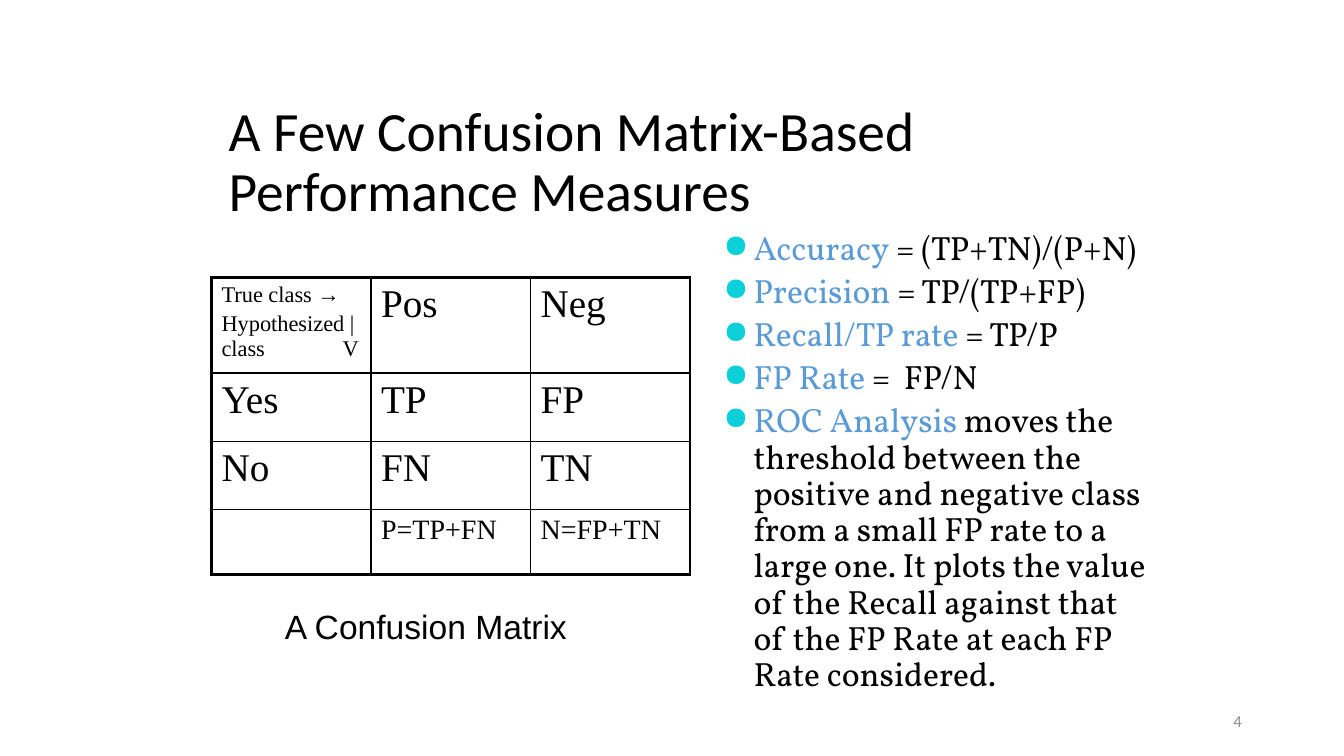
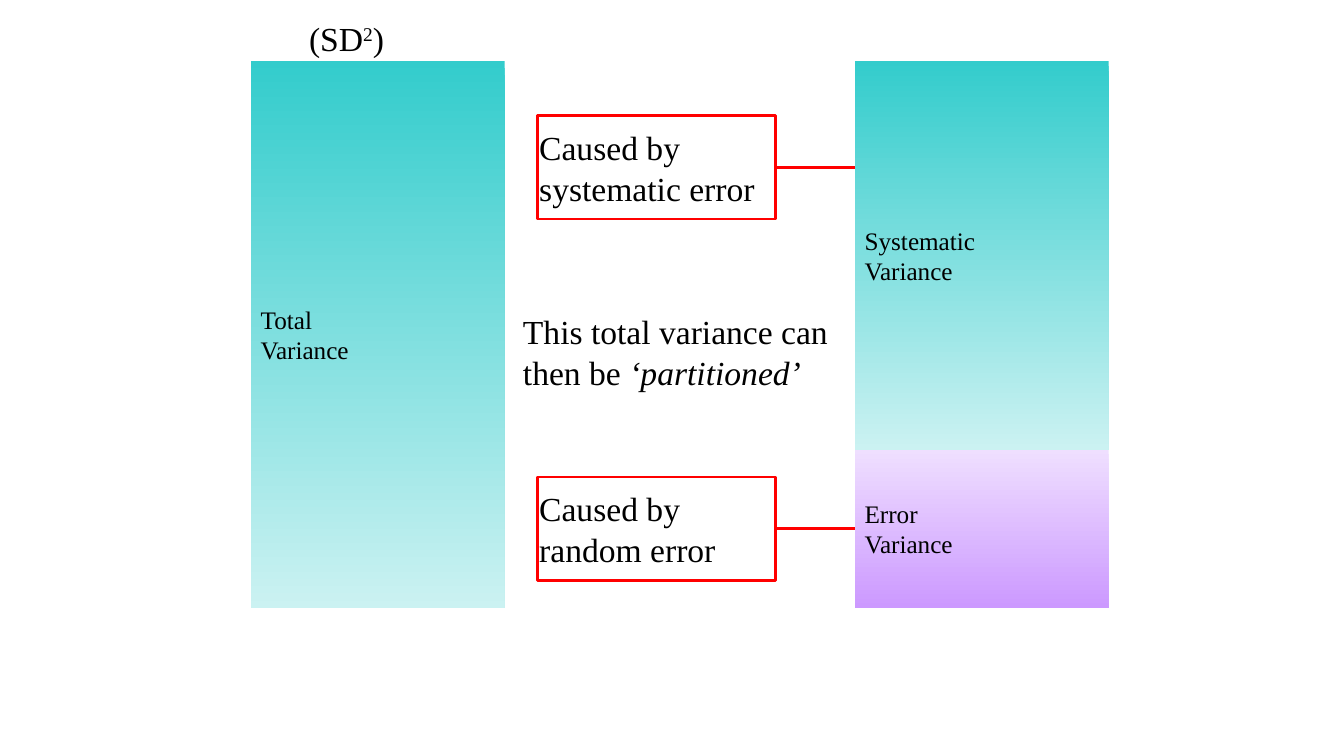
from dataclasses import dataclass
from typing import Optional, Sequence

from lxml.etree import SubElement
from pptx import Presentation
from pptx.dml.color import RGBColor as Rgb
from pptx.enum.shapes import MSO_CONNECTOR as Connector, MSO_SHAPE as Preset
from pptx.enum.text import MSO_ANCHOR as Anchor, PP_ALIGN as Align
from pptx.oxml.ns import qn
from pptx.util import Cm, Pt


# Theme: colours, fonts and type sizes
@dataclass(frozen=True)
class Theme:
    black: str = "000000"
    grey: str = "8C8C8C"
    term: str = "5B9BD5"
    bullet: str = "0BD0D9"
    red: str = "FF0000"
    teal: tuple[str, str] = ("33CCCC", "CBF2F2")
    violet: tuple[str, str] = ("EFDFFF", "CC99FF")
    heading: str = "Calibri"
    serif: str = "Times New Roman"
    list_font: str = "Vollkorn"
    caption_font: str = "Arial"
    title_size: float = 39.6
    cell_size: float = 28
    body_size: float = 24
    total_size: float = 20
    label_size: float = 18
    corner_size: float = 16
    number_size: float = 12
    thin: float = 1
    thick: float = 2.25
    red_line: float = 2


THEME = Theme()


# Building blocks, lengths in centimetres
@dataclass(frozen=True)
class Box:
    left: float
    top: float
    width: float
    height: float

    @property
    def right(self) -> float:
        return self.left + self.width

    @property
    def middle(self) -> float:
        return self.top + self.height / 2

    def lengths(self) -> tuple:
        return Cm(self.left), Cm(self.top), Cm(self.width), Cm(self.height)


@dataclass(frozen=True)
class Style:
    font: str
    size: float
    color: str = THEME.black
    line_spacing: Optional[float] = None
    space_before: float = 0  # share of the type size, between paragraphs
    align: Align = Align.LEFT


@dataclass(frozen=True)
class Span:
    text: str
    color: Optional[str] = None
    italic: bool = False
    raised: bool = False


@dataclass(frozen=True)
class VarianceBar:
    label: str
    box: Box
    gradient: tuple[str, str]


@dataclass(frozen=True)
class Cause:
    text: str
    box: Box


TITLE = Style(THEME.heading, THEME.title_size, line_spacing=0.9)
NUMBER = Style(THEME.heading, THEME.number_size, THEME.grey, align=Align.RIGHT)
CAPTION = Style(THEME.caption_font, THEME.body_size)
MEASURE = Style(THEME.list_font, THEME.body_size, line_spacing=0.9, space_before=0.2)
STATEMENT = Style(THEME.serif, THEME.body_size)
BAR_LABEL = Style(THEME.serif, THEME.label_size)


def write(frame, paragraphs: Sequence[Sequence[Span]], style: Style) -> None:
    frame.text = "\n".join("" for _ in paragraphs)
    for index, (paragraph, spans) in enumerate(zip(frame.paragraphs, paragraphs)):
        paragraph.alignment = style.align
        if style.line_spacing:
            paragraph.line_spacing = style.line_spacing
        if index and style.space_before:
            paragraph.space_before = Pt(style.size * style.space_before)
        for span in spans:
            run = paragraph.add_run()
            run.text = span.text
            run.font.name = style.font
            run.font.size = Pt(style.size)
            run.font.color.rgb = Rgb.from_string(span.color or style.color)
            if span.italic:
                run.font.italic = True
            if span.raised:
                run.font._element.set("baseline", "30000")


def plain(text: str) -> list[list[Span]]:
    return [[Span(line)] for line in text.split("\n")]


def add_text(slide, box: Box, paragraphs: Sequence[Sequence[Span]], style: Style,
             anchor: Anchor = Anchor.TOP, wrap: bool = True):
    frame = slide.shapes.add_textbox(*box.lengths()).text_frame
    frame.word_wrap = wrap
    frame.vertical_anchor = anchor
    write(frame, paragraphs, style)
    return frame


def add_rectangle(slide, box: Box, text: str, style: Style):
    shape = slide.shapes.add_shape(Preset.RECTANGLE, *box.lengths())
    shape.shadow.inherit = False
    shape.text_frame.word_wrap = True
    shape.text_frame.vertical_anchor = Anchor.MIDDLE
    write(shape.text_frame, plain(text), style)
    return shape


def add_bullet(paragraph) -> None:
    properties = paragraph._p.get_or_add_pPr()
    properties.set("marL", str(Cm(0.76)))
    properties.set("indent", str(-Cm(0.76)))
    color = SubElement(properties, qn("a:buClr"))
    SubElement(color, qn("a:srgbClr"), val=THEME.bullet)
    SubElement(properties, qn("a:buSzPct"), val="95000")
    SubElement(properties, qn("a:buChar"), char="●")


def add_tab_stop(paragraph, position: float) -> None:
    stops = SubElement(paragraph._p.get_or_add_pPr(), qn("a:tabLst"))
    SubElement(stops, qn("a:tab"), pos=str(Cm(position)), algn="l")


def set_border(cell, side: str, points: float) -> None:
    line = SubElement(cell._tc.get_or_add_tcPr(), qn(f"a:ln{side}"), w=str(Pt(points)))
    fill = SubElement(line, qn("a:solidFill"))
    SubElement(fill, qn("a:srgbClr"), val=THEME.black)


# Confusion matrix
CORNER = "True class →\nHypothesized | class\tV"
MATRIX = [
    [CORNER, "Pos", "Neg"],
    ["Yes", "TP", "FP"],
    ["No", "FN", "TN"],
    ["", "P=TP+FN", "N=FP+TN"],
]
MATRIX_BOX = Box(5.33, 6.99, 12.06, 7.49)
ROW_HEIGHTS = [2.41, 1.73, 1.7, 1.65]


def add_matrix(slide) -> None:
    last_row, last_column = len(MATRIX) - 1, len(MATRIX[0]) - 1
    table = slide.shapes.add_table(last_row + 1, last_column + 1,
                                   *MATRIX_BOX.lengths()).table
    table.first_row = table.horz_banding = False
    for row, height in zip(table.rows, ROW_HEIGHTS):
        row.height = Cm(height)
    for row, texts in enumerate(MATRIX):
        for column, text in enumerate(texts):
            cell = table.cell(row, column)
            size = THEME.total_size if row == last_row else THEME.cell_size
            if text == CORNER:
                size = THEME.corner_size
            write(cell.text_frame, plain(text), Style(THEME.serif, size, space_before=0.2))
            outer = {"L": column == 0, "R": column == last_column,
                     "T": row == 0, "B": row == last_row}
            for side, is_outer in outer.items():
                set_border(cell, side, THEME.thick if is_outer else THEME.thin)
            cell.fill.background()
    add_tab_stop(table.cell(0, 0).text_frame.paragraphs[-1], 3.05)


# Slide 1: performance measures
MEASURES = [
    ("Accuracy", " = (TP+TN)/(P+N)"),
    ("Precision ", "= TP/(TP+FP)"),
    ("Recall/TP rate ", "= TP/P"),
    ("FP Rate ", "=  FP/N"),
    ("ROC Analysis ", "moves the threshold between the positive and negative class "
     "from a small FP rate to a large one. It plots the value of the Recall "
     "against that of the FP Rate at each FP Rate considered."),
]


def build_measures(slide) -> None:
    add_text(slide, Box(5.51, 2.54, 22.86, 3.18),
             plain("A Few Confusion Matrix-Based Performance Measures"), TITLE, Anchor.MIDDLE)
    add_text(slide, Box(23.93, 17.65, 7.62, 1.02), plain("4"), NUMBER, Anchor.MIDDLE)
    add_matrix(slide)
    measures = [[Span(term, THEME.term), Span(rest)] for term, rest in MEASURES]
    frame = add_text(slide, Box(17.98, 5.72, 11.23, 12.57), measures, MEASURE)
    for paragraph in frame.paragraphs:
        add_bullet(paragraph)
    add_text(slide, Box(6.93, 15.14, 7.7, 1.27), plain("A Confusion Matrix"),
             CAPTION, wrap=False)


# Slide 2: partition of the variance
BAR_TOP, BAR_WIDTH, BAR_HEIGHT = 1.53, 6.4, 13.79
SYSTEMATIC_HEIGHT = 9.8
PARTS_LEFT = 21.54
BARS = [
    VarianceBar("Total\nVariance", Box(6.32, BAR_TOP, BAR_WIDTH, BAR_HEIGHT), THEME.teal),
    VarianceBar("Systematic\nVariance",
                Box(PARTS_LEFT, BAR_TOP, BAR_WIDTH, SYSTEMATIC_HEIGHT), THEME.teal),
    VarianceBar("Error\nVariance",
                Box(PARTS_LEFT, BAR_TOP + SYSTEMATIC_HEIGHT, BAR_WIDTH,
                    BAR_HEIGHT - SYSTEMATIC_HEIGHT), THEME.violet),
]
CAUSES = [
    Cause("Caused by systematic error", Box(13.54, 2.92, 6, 2.6)),
    Cause("Caused by random error", Box(13.54, 12.02, 6, 2.6)),
]


def add_bar(slide, bar: VarianceBar) -> None:
    shape = add_rectangle(slide, bar.box, bar.label, BAR_LABEL)
    shape.line.fill.background()
    shape.fill.gradient()
    shape.fill.gradient_angle = 270
    for stop, color in zip(shape.fill.gradient_stops, bar.gradient):
        stop.color.rgb = Rgb.from_string(color)


def add_cause(slide, cause: Cause) -> None:
    shape = add_rectangle(slide, cause.box, cause.text, STATEMENT)
    shape.fill.background()
    shape.text_frame.margin_left = shape.text_frame.margin_right = Cm(0.05)
    connector = slide.shapes.add_connector(
        Connector.STRAIGHT, Cm(cause.box.right), Cm(cause.box.middle),
        Cm(PARTS_LEFT), Cm(cause.box.middle))
    SubElement(connector._element.spPr, qn("a:effectLst"))
    for line in (shape.line, connector.line):
        line.color.rgb = Rgb.from_string(THEME.red)
        line.width = Pt(THEME.red_line)


def build_variance(slide) -> None:
    for bar in BARS:
        add_bar(slide, bar)
    add_text(slide, Box(7.54, 0.33, 4, 1.27),
             [[Span("(SD"), Span("2", raised=True), Span(")")]], STATEMENT)
    add_text(slide, Box(12.93, 7.72, 8.2, 2.31),
             [[Span("This total variance can then be "),
               Span("‘partitioned’", italic=True)]], STATEMENT)
    for cause in CAUSES:
        add_cause(slide, cause)


def main() -> None:
    presentation = Presentation()
    presentation.slide_width, presentation.slide_height = Cm(33.87), Cm(19.05)
    blank = presentation.slide_layouts[6]
    for build in (build_measures, build_variance):
        build(presentation.slides.add_slide(blank))
    presentation.save("out.pptx")


if __name__ == "__main__":
    main()
